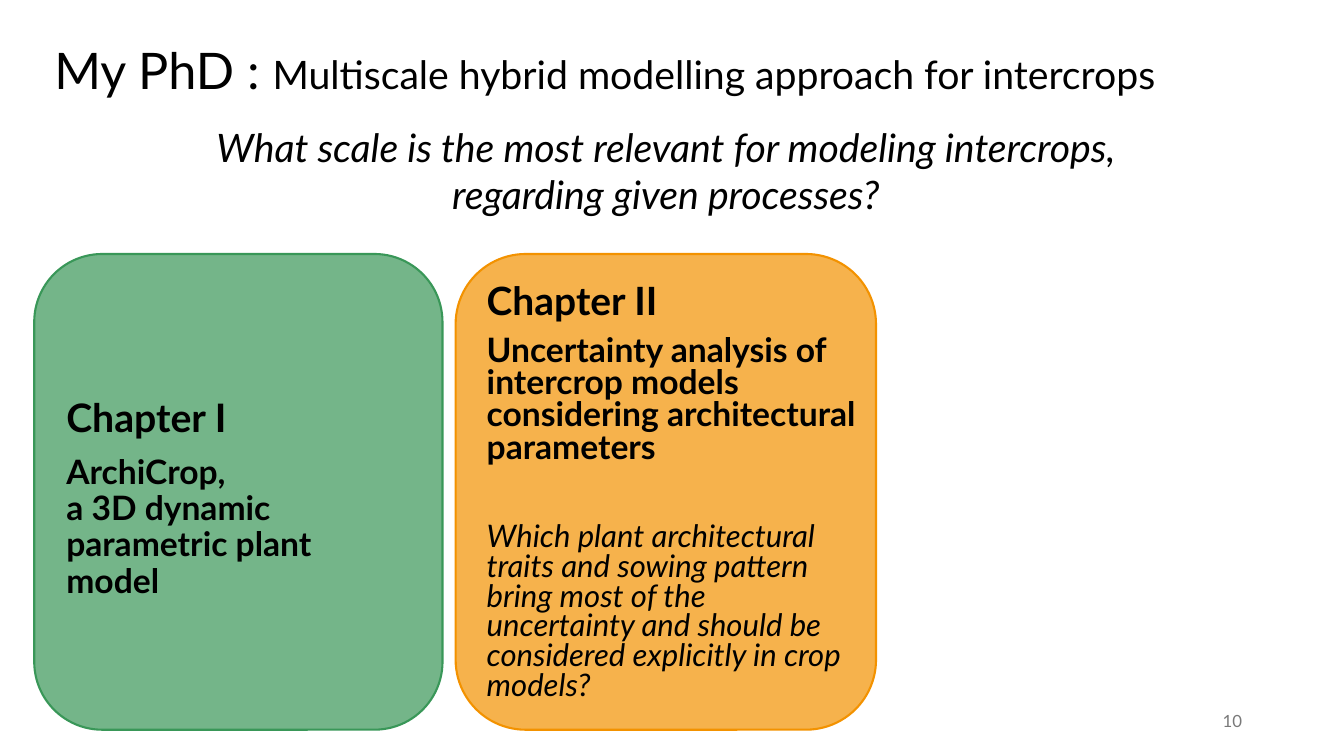
from lxml import etree
from pptx import Presentation
from pptx import util as u
from pptx.dml.color import RGBColor
from pptx.enum import shapes, text
from pptx.oxml.ns import qn

BLACK = RGBColor(0x00, 0x00, 0x00)
GRAY = RGBColor(0x79, 0x79, 0x79)
GREEN = RGBColor(0x39, 0x97, 0x58)
ORANGE = RGBColor(0xF3, 0x92, 0x00)
FONT = "Lato"
LEFT, MID, RIGHT = text.PP_ALIGN.LEFT, text.PP_ALIGN.CENTER, text.PP_ALIGN.RIGHT


class Deck:
    """Holds the style and the current slide; boxes are percents of its size."""

    def __init__(self):
        self.prs = Presentation()
        self.prs.slide_width = u.Inches(13.33)
        self.prs.slide_height = u.Inches(7.5)
        self.slide = self.prs.slides.add_slide(self.prs.slide_layouts[6])

    def place(self, box):
        wide, high = self.prs.slide_width, self.prs.slide_height
        return [int(share * side / 100)
                for share, side in zip(box, (wide, high, wide, high))]

    def card(self, box, color, alpha=70):
        card = self.slide.shapes.add_shape(
            shapes.MSO_SHAPE.ROUNDED_RECTANGLE, *self.place(box))
        card.shadow.inherit = False
        card.fill.solid()
        card.fill.fore_color.rgb = color
        tint = card.fill._xPr.find(qn("a:solidFill"))[0]
        etree.SubElement(tint, qn("a:alpha")).set("val", str(alpha * 1000))
        card.line.color.rgb = color
        card.line.width = u.Pt(1.5)

    def frame(self, box, middle=False):
        frame = self.slide.shapes.add_textbox(*self.place(box)).text_frame
        frame.word_wrap = True
        if middle:
            frame.vertical_anchor = text.MSO_ANCHOR.MIDDLE
        return frame

    def style(self, run, size, color=BLACK, bold=False, italic=False):
        font = run.font
        font.name, font.size = FONT, u.Pt(size)
        font.bold, font.italic = bold, italic
        font.color.rgb = color

    def title(self, box, parts):
        para = self.frame(box, middle=True).paragraphs[0]
        para.line_spacing = 0.9
        for words, size in parts:
            run = para.add_run()
            run.text = words
            self.style(run, size)

    def line(self, box, words, size, align, middle=False, **look):
        frame = self.frame(box, middle)
        frame.text = words
        para = frame.paragraphs[0]
        para.alignment = align
        self.style(para.runs[0], size, **look)

    def notes(self, box, spacing, items):
        """Write paragraphs given as (words, size, space before, look)."""
        frame = self.frame(box)
        frame.text = "\n".join(item[0] for item in items)
        for para, (_, size, gap, look) in zip(frame.paragraphs, items):
            para.alignment = LEFT
            para.line_spacing = spacing
            para.space_before = u.Pt(gap)
            for run in para.runs:
                self.style(run, size, **look)


def main():
    deck = Deck()
    bold, slant = {"bold": True}, {"italic": True}
    top, high = 33.6, 62.93
    deck.card((33.9, top, 31.28, high), ORANGE)
    deck.card((2.55, top, 30.38, high), GREEN)

    deck.title((3.3, 0, 86.25, 19.33), [
        ("My PhD : ", 36),
        ("Multiscale hybrid modelling approach for intercrops", 28)])
    deck.line((10.35, 15.6, 78.38, 13.87),
              "What scale is the most relevant for modeling intercrops, "
              "regarding given processes?", 28, MID, **slant)

    deck.notes((4.2, 52.13, 27, 26.13), 0.9, [
        ("Chapter I", 28, 0, bold),
        ("ArchiCrop, \va 3D dynamic parametric plant model", 24, 10, bold)])
    deck.notes((35.48, 37.07, 29.3, 57.33), 0.8, [
        ("Chapter II", 27.8, 0, bold),
        ("Uncertainty analysis of intercrop models considering "
         "architectural parameters", 24, 10, bold),
        ("Which plant architectural traits and sowing pattern bring most of "
         "the uncertainty and should be considered explicitly in crop models?",
         22.2, 41.3, slant)])

    deck.line((70.65, 92.67, 22.5, 5.33), "10", 12, RIGHT, middle=True, color=GRAY)
    deck.prs.save("out.pptx")


if __name__ == "__main__":
    main()
